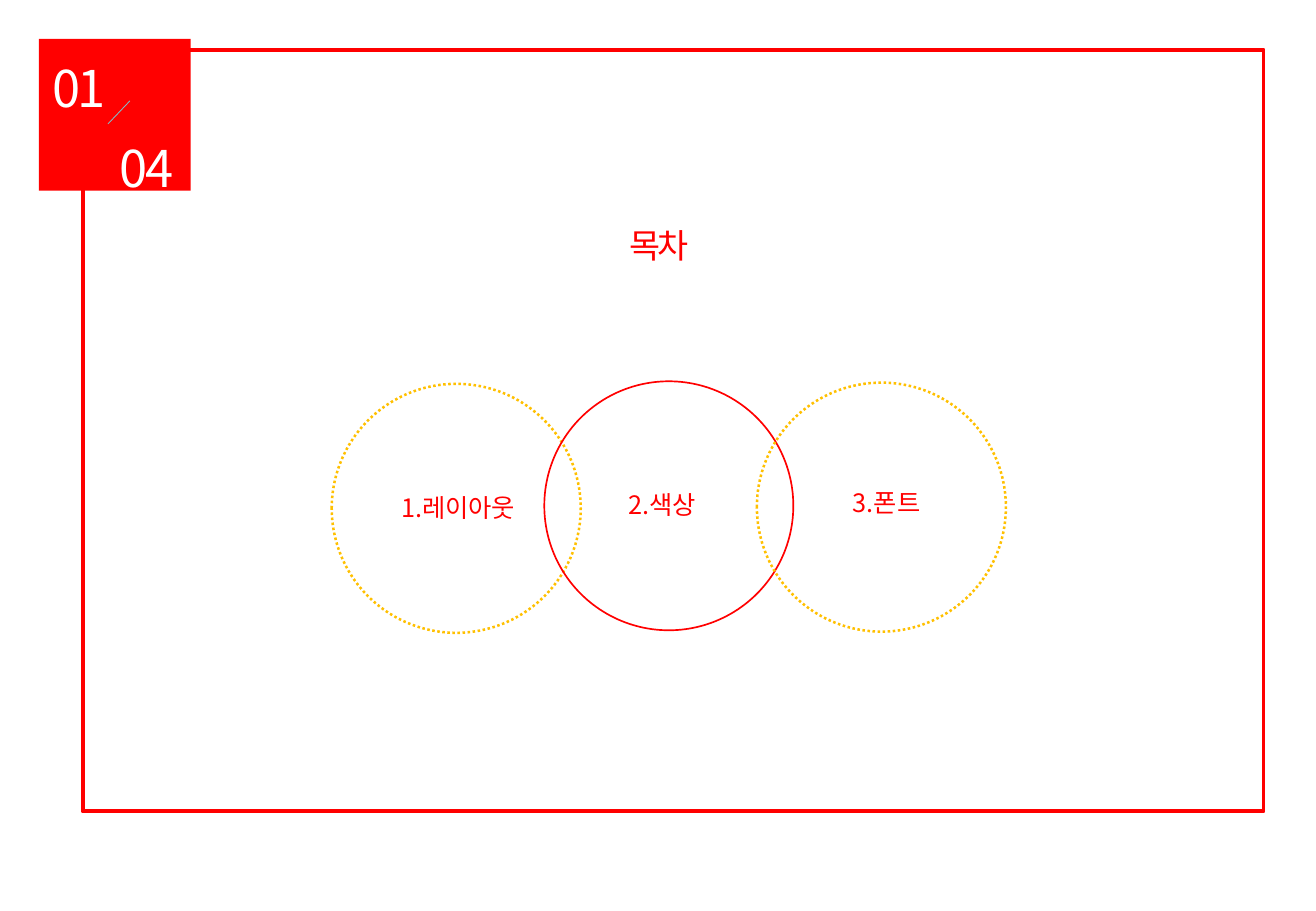
import pptx
import pptx.util
import pptx.dml.color
import pptx.enum.dml
import pptx.enum.shapes
import pptx.enum.text
import pptx.oxml.ns
import lxml.etree

Pt = pptx.util.Pt
SHAPES = pptx.enum.shapes.MSO_SHAPE
ALIGN = pptx.enum.text.PP_ALIGN
RED, YELLOW, WHITE, SLASH_BLUE = "FF0000", "FFC000", "FFFFFF", "82BBC8"


def color(hex_value):
    return pptx.dml.color.RGBColor.from_string(hex_value)


class SlideBuilder:
    """Holds the shared style and the slide being filled."""

    font = "Noto Sans CJK KR"

    def __init__(self, slide):
        self.slide = slide

    def outline(self, line, hex_value, width, dash=None):
        line.color.rgb = color(hex_value)
        for key, value in {"width": Pt(width), "dash_style": dash}.items():
            setattr(line, key, value)

    def shape(self, kind, box, fill=None, line=None):
        item = self.slide.shapes.add_shape(kind, *map(Pt, box))
        item.shadow.inherit = False
        if fill:
            item.fill.solid()
            item.fill.fore_color.rgb = color(fill)
        else:
            item.fill.background()
        if line:
            self.outline(item.line, *line)
        else:
            item.line.fill.background()

    def stroke(self, start, end, hex_value, width):
        item = self.slide.shapes.add_connector(
            pptx.enum.shapes.MSO_CONNECTOR.STRAIGHT, *map(Pt, start + end))
        self.outline(item.line, hex_value, width)
        lxml.etree.SubElement(item._element.spPr, pptx.oxml.ns.qn("a:effectLst"))

    def fill_text(self, item, words, size, hex_value, align, line_spacing, tracking):
        frame_format = {
            "word_wrap": True,
            "auto_size": pptx.enum.text.MSO_AUTO_SIZE.NONE,
            "vertical_anchor": pptx.enum.text.MSO_ANCHOR.TOP,
        }
        for key, value in frame_format.items():
            setattr(item.text_frame, key, value)
        paragraph = item.text_frame.paragraphs[0]
        for key, value in {"alignment": align, "line_spacing": line_spacing}.items():
            setattr(paragraph, key, value)
        run = paragraph.add_run()
        run.text = words
        for key, value in {"name": self.font, "size": Pt(size)}.items():
            setattr(run.font, key, value)
        run.font.color.rgb = color(hex_value)
        # East Asian typeface and letter spacing
        properties = run._r.get_or_add_rPr()
        lxml.etree.SubElement(
            properties, pptx.oxml.ns.qn("a:ea"), typeface=self.font)
        if tracking:
            properties.set("spc", str(int(tracking * 100)))

    def text(self, words, box, size, hex_value, align, tracking=0):
        item = self.slide.shapes.add_textbox(*map(Pt, box))
        self.fill_text(item, words, size, hex_value, align, 1.5, tracking)

    def title(self, words, box, size, hex_value, tracking):
        item = self.slide.shapes.title
        for key, value in zip(("left", "top", "width", "height"), box):
            setattr(item, key, Pt(value))
        self.fill_text(item, words, size, hex_value, ALIGN.CENTER, 1.0, tracking)


def main():
    deck = pptx.Presentation()
    deck.slide_width, deck.slide_height = Pt(780), Pt(540)
    contents = SlideBuilder(deck.slides.add_slide(deck.slide_layouts[5]))

    # Frame and page badge
    contents.shape(SHAPES.RECTANGLE, (49, 29.5, 700, 451.5), line=(RED, 2.25))
    contents.shape(SHAPES.RECTANGLE, (23, 23, 90, 90), fill=RED)
    for number, left, top in (("01", 23.8, 12.2), ("04", 64, 59.8)):
        contents.text(number, (left, top, 121, 57), 30, WHITE, ALIGN.LEFT, -1.5)
    contents.stroke((64, 73.5), (77, 59.8), SLASH_BLUE, 0.5)

    # Overlapping circles
    dotted = (YELLOW, 1.5, pptx.enum.dml.MSO_LINE.ROUND_DOT)
    circles = ((227.5, dotted), (226, (RED, 1)), (226.8, dotted))
    for index, (top, line) in enumerate(circles):
        contents.shape(SHAPES.OVAL, (196.6 + 126 * index, top, 147.6, 147.6), line=line)

    # Topic labels
    topics = (("1.레이아웃", 211, 279.4), ("2.색상", 332, 277.4), ("3.폰트", 465, 276.5))
    for topic, left, top in topics:
        contents.text(topic, (left, top, 121, 32.4), 15, RED, ALIGN.CENTER)

    # Heading
    contents.title("목차", (234, 129.6, 313.2, 31.7), 20, RED, -1.5)

    deck.save("out.pptx")


if __name__ == "__main__":
    main()
